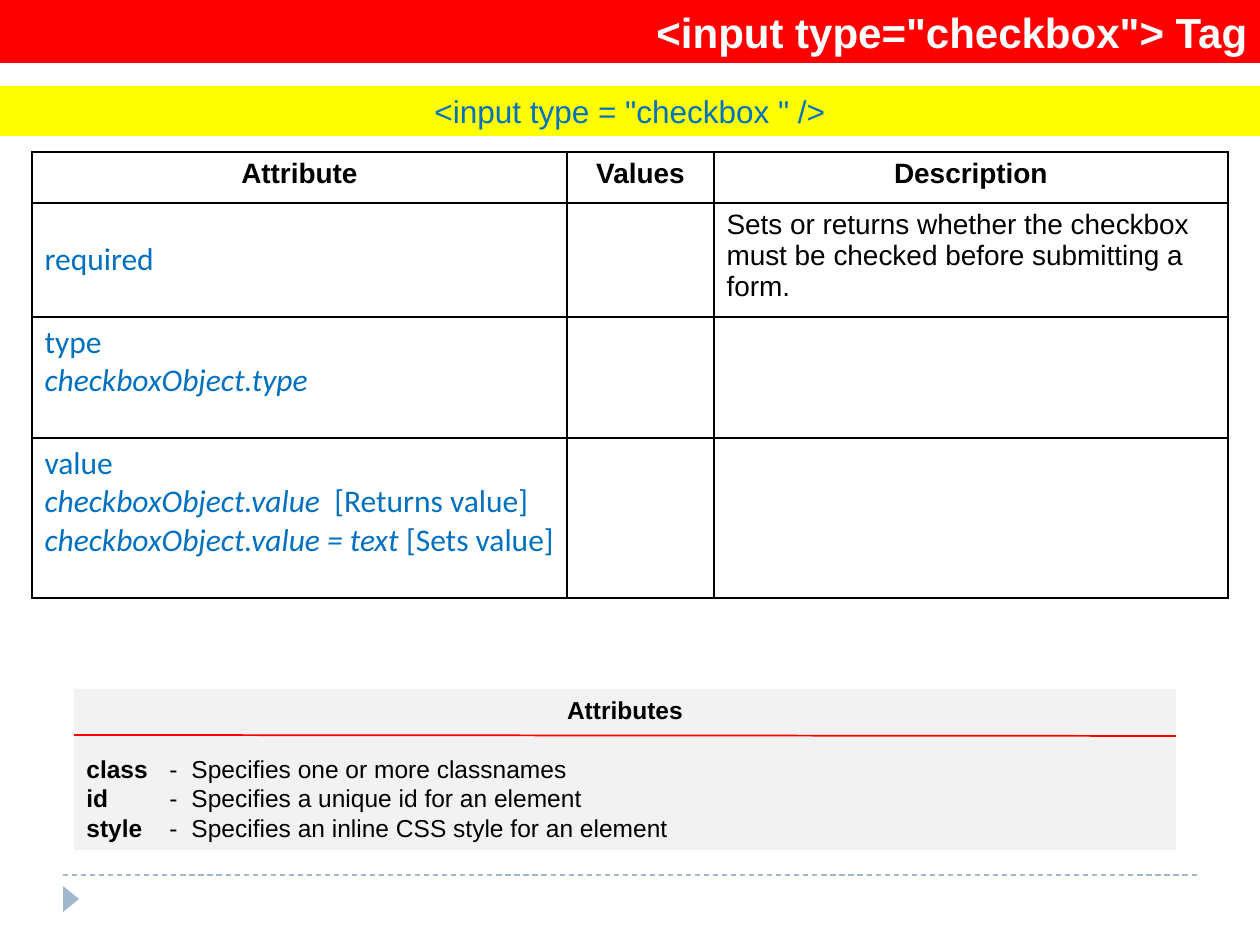
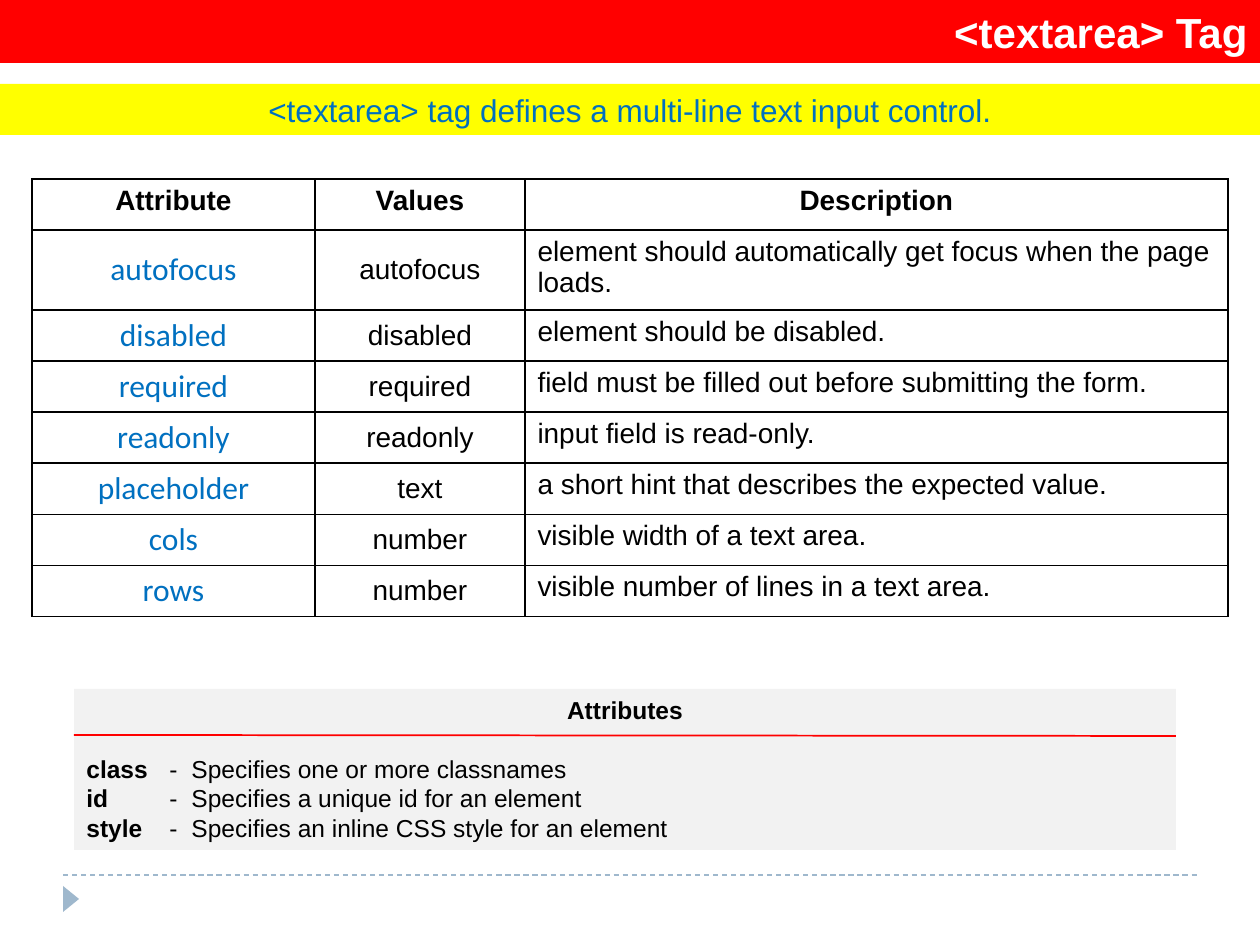
import pptx
import pptx.util
import pptx.dml.color
import pptx.enum.dml
import pptx.enum.shapes
import pptx.enum.text
import pptx.oxml
import pptx.oxml.ns
import lxml.etree

EMU_PER_PX = 914400 / 126
rgb = pptx.dml.color.RGBColor.from_string
qn = pptx.oxml.ns.qn
ALIGN = pptx.enum.text.PP_ALIGN
ANCHOR = pptx.enum.text.MSO_ANCHOR
SHAPE = pptx.enum.shapes.MSO_SHAPE
STRAIGHT = pptx.enum.shapes.MSO_CONNECTOR.STRAIGHT

RED, YELLOW, BLUE, GREY = "FF0000", "FFFF00", "0070C0", "F2F2F2"
STEEL, BLACK, WHITE = "9FB8CD", "000000", "FFFFFF"

TITLE = {"name": "Arial", "size": 24, "color": WHITE, "bold": True}
SYNTAX = {"name": "Arial", "size": 18, "color": BLUE, "bold": False}
HEADER = {"name": "Arial", "size": 16, "color": BLACK, "bold": True}
BODY = {"name": "Arial", "size": 16, "color": BLACK, "bold": False}
CODE = {"name": "Calibri", "size": 18, "color": BLUE, "bold": False, "mark": "italic"}
COMMON = {"name": "Arial", "size": 14, "color": BLACK, "bold": False, "mark": "bold"}

COMMON_ATTRIBUTES = """|Attributes|
|class|\t-\tSpecifies one or more classnames
|id|\t-\tSpecifies a unique id for an element
|style|\t-\tSpecifies an inline CSS style for an element"""
COMMON_TABS = (83, 105)
COMMON_LEADING = 16.8

SLIDES = [
    {
        "title": '<input type="checkbox"> Tag',
        "syntax": '<input type = "checkbox " />',
        "syntax_at": (86, 50),
        "table_top": 152,
        "cols": (535, 147, 514),
        "heights": (51, 114, 121, 160),
        "code_align": ALIGN.LEFT,
        "rows": [
            ("required", "", "Sets or returns whether the checkbox must be "
                             "checked before submitting a form."),
            ("type\n|checkboxObject.type|", "", ""),
            ("value\n|checkboxObject.value|  [Returns value]\n"
             "|checkboxObject.value = text| [Sets value]", "", ""),
        ],
    },
    {
        "title": "<textarea> Tag",
        "syntax": "<textarea> tag defines a multi-line text input control.",
        "syntax_at": (84, 51),
        "table_top": 179,
        "cols": (283, 210, 703),
        "heights": (51, 80, 51, 51, 51, 51, 51, 51),
        "code_align": ALIGN.CENTER,
        "rows": [
            ("autofocus", "autofocus",
             "element should automatically get focus when the page loads."),
            ("disabled", "disabled", "element should be disabled."),
            ("required", "required",
             "field must be filled out before submitting the form."),
            ("readonly", "readonly", "input field is read-only."),
            ("placeholder", "text", "a short hint that describes the expected value."),
            ("cols", "number", "visible width of a text area."),
            ("rows", "number", "visible number of lines in a text area."),
        ],
    },
]


def emu(*lengths):
    return [round(n * EMU_PER_PX) for n in lengths]


def write(tf, text, fmt, align):
    """Write one paragraph per line; text between bars gets the 'mark' attribute."""
    tf.word_wrap = True
    for i, line in enumerate(text.split("\n")):
        p = tf.paragraphs[0] if i == 0 else tf.add_paragraph()
        p.alignment = align
        for j, part in enumerate(line.split("|")):
            if not part:
                continue
            r = p.add_run()
            r.text = part
            for key in ("name", "bold"):
                setattr(r.font, key, fmt[key])
            r.font.size = pptx.util.Pt(fmt["size"])
            r.font.color.rgb = rgb(fmt["color"])
            if j % 2:
                setattr(r.font, fmt["mark"], True)


prs = pptx.Presentation()
prs.slide_width, prs.slide_height = emu(1260, 945)

for page in SLIDES:
    s = prs.slides.add_slide(prs.slide_layouts[6])

    # Title band, syntax band, common attributes panel and footer marker
    y, h = page["syntax_at"]
    shapes = []
    for kind, at, fill in [
        (SHAPE.RECTANGLE, (0, 0, 1260, 63), RED),
        (SHAPE.RECTANGLE, (0, y, 1260, h), YELLOW),
        (SHAPE.RECTANGLE, (74, 689, 1102, 161), GREY),
        (SHAPE.ISOSCELES_TRIANGLE, (58, 891, 26, 16), STEEL),
    ]:
        sp = s.shapes.add_shape(kind, *emu(*at))
        sp.shadow.inherit = False
        sp.fill.solid()
        sp.fill.fore_color.rgb = rgb(fill)
        sp.line.fill.background()
        shapes.append(sp)
    title, syntax, panel, marker = shapes
    marker.rotation = 90
    write(title.text_frame, page["title"], TITLE, ALIGN.RIGHT)
    write(syntax.text_frame, page["syntax"], SYNTAX, ALIGN.CENTER)

    tf = panel.text_frame
    tf.vertical_anchor = ANCHOR.TOP
    write(tf, COMMON_ATTRIBUTES, COMMON, ALIGN.LEFT)
    for p in tf.paragraphs:
        tabs = lxml.etree.SubElement(p._p.get_or_add_pPr(), qn("a:tabLst"))
        for pos in emu(*COMMON_TABS):
            lxml.etree.SubElement(tabs, qn("a:tab"), pos=str(pos), algn="l")
        p.line_spacing = pptx.util.Pt(COMMON_LEADING)
    tf.paragraphs[0].alignment = ALIGN.CENTER
    tf.paragraphs[1].space_before = pptx.util.Pt(COMMON_LEADING)

    # Panel rule and dashed footer rule
    for ends, color, width, dash in [
        ((74, 735, 1176, 736), RED, 1, None),
        ((63, 875, 1197, 875), STEEL, 0.75, pptx.enum.dml.MSO_LINE.DASH),
    ]:
        rule = s.shapes.add_connector(STRAIGHT, *emu(*ends))
        rule.line.color.rgb = rgb(color)
        rule.line.width = pptx.util.Pt(width)
        rule.line.dash_style = dash
        lxml.etree.SubElement(rule._element.spPr, qn("a:effectLst"))

    # Attribute table
    rows = [("Attribute", "Values", "Description")] + page["rows"]
    frame = s.shapes.add_table(
        len(rows), 3,
        *emu(32, page["table_top"], sum(page["cols"]), sum(page["heights"])))
    table = frame.table
    table.first_row = table.horz_banding = False
    for col, width in zip(table.columns, emu(*page["cols"])):
        col.width = width
    for row, height in zip(table.rows, emu(*page["heights"])):
        row.height = height

    columns = [(CODE, page["code_align"]), (BODY, ALIGN.CENTER), (BODY, ALIGN.LEFT)]
    for i, texts in enumerate(rows):
        for j, text in enumerate(texts):
            cell = table.cell(i, j)
            fmt, align = columns[j] if i else (HEADER, ALIGN.CENTER)
            centred = i and j < 2 and "\n" not in text
            cell.vertical_anchor = ANCHOR.MIDDLE if centred else ANCHOR.TOP
            cell.fill.background()
            if text:
                write(cell.text_frame, text, fmt, align)
            tcPr = cell._tc.get_or_add_tcPr()
            for k, side in enumerate(("lnL", "lnR", "lnT", "lnB")):
                ln = lxml.etree.Element(qn("a:" + side), w="12700")
                fill = lxml.etree.SubElement(ln, qn("a:solidFill"))
                lxml.etree.SubElement(fill, qn("a:srgbClr"), val=BLACK)
                tcPr.insert(k, ln)

prs.save("out.pptx")
